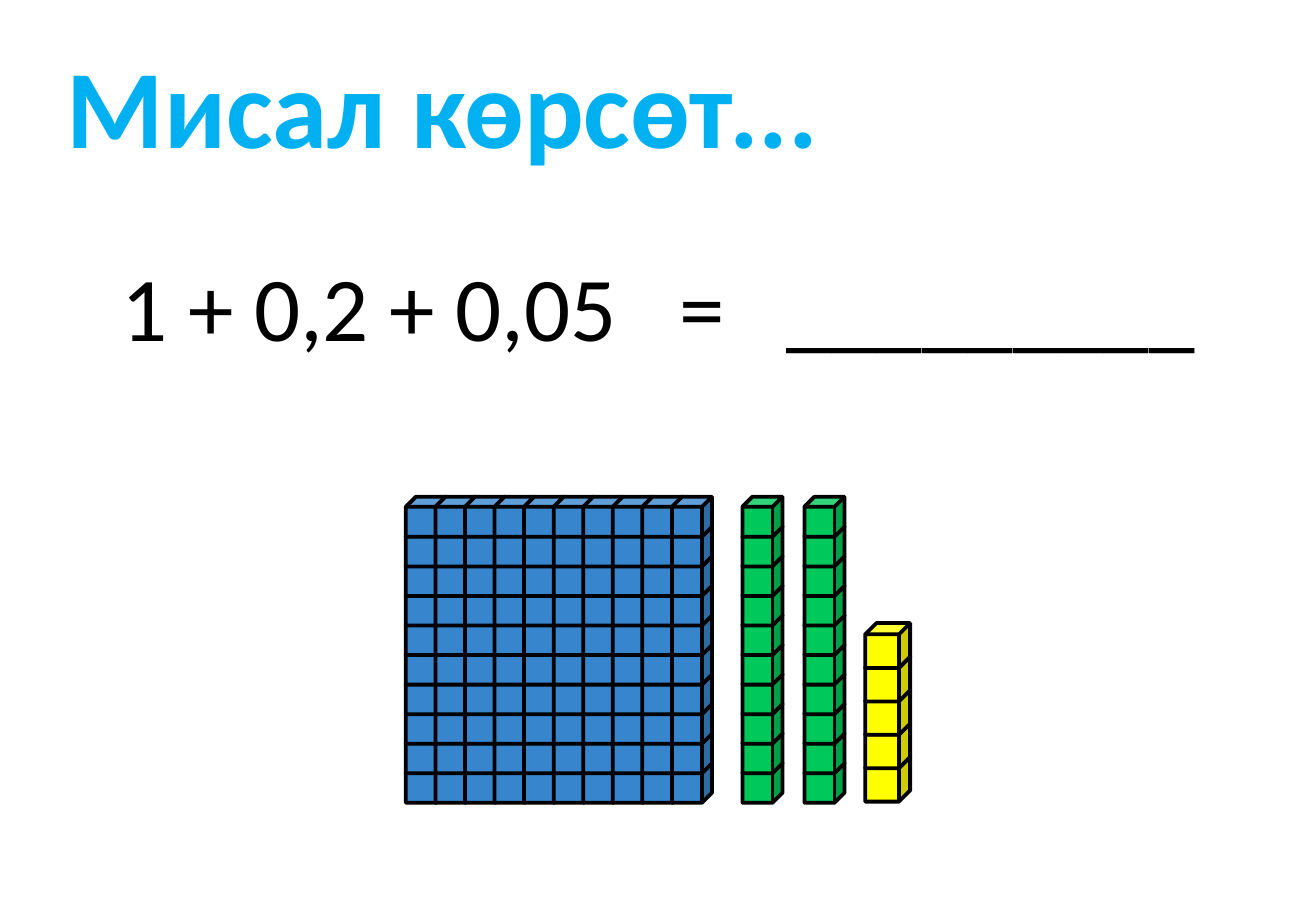
from lxml.etree import SubElement
from pptx import Presentation
from pptx.dml.color import RGBColor
from pptx.enum.shapes import MSO_SHAPE as Preset
from pptx.enum.text import MSO_AUTO_SIZE as AutoSize
from pptx.oxml.ns import qn
from pptx.util import Inches, Pt

BLACK = RGBColor(0x00, 0x00, 0x00)
SKY = RGBColor(0x00, 0xB0, 0xF0)
BLUE = RGBColor(0x37, 0x86, 0xCD)
GREEN = RGBColor(0x00, 0xC8, 0x5A)
YELLOW = RGBColor(0xFF, 0xFF, 0x00)


class SlideBuilder:
    """Draws text and place-value blocks on one slide in a shared style."""

    font_name = "Calibri"
    outline = Pt(2.25)

    def __init__(self, slide):
        self.slide = slide

    def text(self, words, left, top, width, height, size, color,
             bold=False, indent=0.1, tabs=()):
        box = self.slide.shapes.add_textbox(
            Inches(left), Inches(top), Inches(width), Inches(height))
        frame_format = {
            "word_wrap": True,
            "auto_size": AutoSize.SHAPE_TO_FIT_TEXT,
            "margin_left": Inches(indent),
        }
        for name, value in frame_format.items():
            setattr(box.text_frame, name, value)
        paragraph = box.text_frame.paragraphs[0]
        if tabs:
            properties = paragraph._p.get_or_add_pPr()
            tab_list = SubElement(properties, qn("a:tabLst"))
            for position in tabs:
                SubElement(tab_list, qn("a:tab"), pos=str(Inches(position)), algn="l")
        run = paragraph.add_run()
        run.text = words
        font_format = {"name": self.font_name, "size": Pt(size), "bold": bold}
        for name, value in font_format.items():
            setattr(run.font, name, value)
        run.font.color.rgb = color

    def cube(self, group, left, top, size, color):
        shape = group.shapes.add_shape(
            Preset.CUBE, Inches(left), Inches(top), Inches(size), Inches(size))
        shape.shadow.inherit = False
        shape.fill.solid()
        shape.fill.fore_color.rgb = color
        shape.line.color.rgb = BLACK
        shape.line.width = self.outline

    def block(self, left, top, columns, rows, size, pitch, color):
        group = self.slide.shapes.add_group_shape()
        for column in range(columns):
            for row in reversed(range(rows)):
                self.cube(group, left + column * pitch, top + row * pitch, size, color)


def main():
    presentation = Presentation()
    presentation.slide_width = Inches(10.83)
    presentation.slide_height = Inches(7.5)
    builder = SlideBuilder(presentation.slides.add_slide(presentation.slide_layouts[6]))

    builder.text("1 + 0,2 + 0,05\t=\t_________", 0.77, 2.01, 9.3, 1.01, 54, BLACK,
                 indent=0.23, tabs=(4.59, 5.47))

    pitch = 2.19 / 9
    for left in (6.11, 6.62):
        builder.block(left, 4.09, 1, 10, 0.33, pitch, GREEN)
    builder.block(3.34, 4.09, 10, 10, 0.33, pitch, BLUE)
    builder.block(7.12, 5.13, 1, 5, 0.37, 1.1 / 4, YELLOW)

    builder.text("Мисал көрсөт...", 0.24, 0.26, 7.54, 1.21, 66, SKY,
                 bold=True, indent=0.31)
    presentation.save("out.pptx")


if __name__ == "__main__":
    main()
